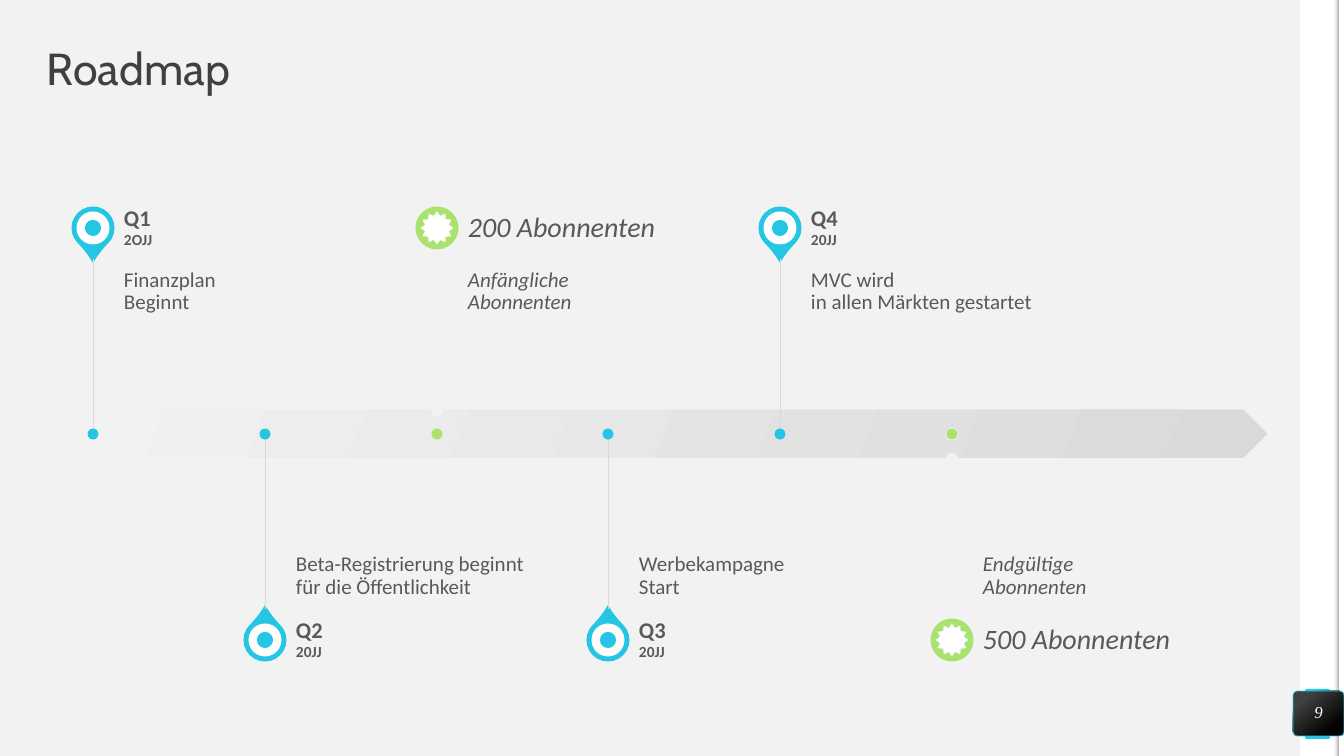
from copy import deepcopy
from lxml.etree import SubElement
from pptx import Presentation
from pptx.dml.color import RGBColor
from pptx.enum.dml import MSO_LINE
from pptx.enum.shapes import MSO_CONNECTOR, MSO_SHAPE
from pptx.enum.text import MSO_ANCHOR, MSO_AUTO_SIZE, PP_ALIGN
from pptx.oxml.ns import qn
from pptx.util import Pt

TITLE = "Roadmap"
PAGE = "9"
STEPS = [
    ("Q1", "2OJJ", "Finanzplan\nBeginnt"),
    ("Q2", "20JJ", "Beta-Registrierung beginnt\nfür die Öffentlichkeit"),
    ("200 Abonnenten", None, "Anfängliche\nAbonnenten"),
    ("Q3", "20JJ", "Werbekampagne\nStart"),
    ("Q4", "20JJ", "MVC wird \nin allen Märkten gestartet"),
    ("500 Abonnenten", None, "Endgültige\nAbonnenten"),
]

BLUE = RGBColor(0x25, 0xC6, 0xE3)
GREEN = RGBColor(0xA9, 0xE2, 0x6F)
WHITE = RGBColor(0xFF, 0xFF, 0xFF)
BLACK = RGBColor(0, 0, 0)
PALE = RGBColor(0xF2, 0xF2, 0xF2)
SILVER = RGBColor(0xD9, 0xD9, 0xD9)
STEEL = RGBColor(0xA6, 0xA6, 0xA6)
DARK = RGBColor(0x40, 0x40, 0x40)
GRAY = RGBColor(0x59, 0x59, 0x59)

SCALE = 914400 / 100.8
WIDE, HIGH = 1344, 756
FIRST, STEP, AXIS = 93, 171.8, 434
STEM, HEAD, TEXT = 175, 62, 284
PIN, RING, DOT = 43, 33, 11

TITLED = {"name": "Cabin", "size": Pt(32), "bold": False}
BODY = {"name": "Calibri", "size": Pt(15)}
QUARTER = {"name": "Calibri", "size": Pt(16), "bold": True}
YEAR = {**QUARTER, "size": Pt(11)}
GOAL = {"name": "Calibri", "size": Pt(20), "italic": True}
NUMBER = {"name": "Times New Roman", "size": Pt(12), "italic": True}


def px(num):
    return round(num * SCALE)


def style(item, vals):
    for key, val in vals.items():
        setattr(item, key, val)


def shape(kind, box, fill, **vals):
    item = slide.shapes.add_shape(kind, *map(px, box))
    item.shadow.inherit = False
    item.line.fill.background()
    if isinstance(fill, RGBColor):
        item.fill.solid()
        item.fill.fore_color.rgb = fill
    else:
        stops, angle = fill
        item.fill.gradient()
        item.fill.gradient_angle = angle
        for stop, (spot, tone) in zip(item.fill.gradient_stops, stops):
            stop.position = spot
            stop.color.rgb = tone
    style(item, vals)
    return item


def center(kind, x, y, size, fill, **vals):
    return shape(kind, (x - size / 2, y - size / 2, size, size), fill, **vals)


def write(frame, runs, tone, pad=(0, 0, 0, 0), anchor=MSO_ANCHOR.MIDDLE, align=PP_ALIGN.LEFT):
    sides = ("margin_left", "margin_top", "margin_right", "margin_bottom")
    style(frame, dict(zip(sides, map(px, pad))))
    style(frame, {"word_wrap": True, "auto_size": MSO_AUTO_SIZE.NONE, "vertical_anchor": anchor})
    para = frame.paragraphs[0]
    style(para, {"alignment": align, "line_spacing": 0.9})
    for num, (words, font) in enumerate(runs):
        if num:
            para.add_line_break()
            para._p[-1].append(deepcopy(para.runs[-1].font._element))
        run = para.add_run()
        run.text = words
        style(run.font, font)
        run.font.color.rgb = tone


def label(box, runs, **vals):
    write(slide.shapes.add_textbox(*map(px, box)).text_frame, runs, GRAY, **vals)


def stem(x, top, goal):
    item = slide.shapes.add_connector(MSO_CONNECTOR.STRAIGHT, *map(px, (x, top, x, top + STEM)))
    SubElement(item._element.spPr, qn("a:effectLst"))
    item.line.color.rgb = PALE if goal else SILVER
    item.line.width = Pt(9 if goal else 0.25)
    if goal:
        item.line.dash_style = MSO_LINE.ROUND_DOT
        item.line._ln.set("cap", "rnd")


def mark(num, name, year, note):
    x, low, goal = FIRST + round(num * STEP), num % 2, year is None
    tone = GREEN if goal else BLUE
    top = AXIS if low else AXIS - STEM
    head = AXIS + STEM if low else top - HEAD
    mid = head + HEAD / 2
    kind = MSO_SHAPE.OVAL if goal else MSO_SHAPE.TEAR
    pin = center(kind, x, mid, PIN, tone, rotation=315 if low else 135)
    if not goal:
        pin.adjustments[0] = 1.15
    center(MSO_SHAPE.STAR_12_POINT if goal else MSO_SHAPE.DONUT, x, mid, RING, WHITE)
    font = {**BODY, "italic": goal}
    label((x + 31, top, TEXT, STEM), [(line, font) for line in note.split("\n")],
          pad=(0, 16, 0, 10) if low else (0, 10, 10, 16),
          anchor=MSO_ANCHOR.BOTTOM if low else MSO_ANCHOR.TOP)
    runs = [(name, GOAL)] if goal else [(name, QUARTER), (year, YEAR)]
    label((x + 31, head, TEXT, HEAD), runs, pad=(0, 0, 11, 0))
    stem(x, top, goal)
    center(MSO_SHAPE.OVAL, x, AXIS, DOT, tone)


deck = Presentation()
style(deck, {"slide_width": px(WIDE), "slide_height": px(HIGH)})
slide = deck.slides.add_slide(deck.slide_layouts[5])
slide.background.fill.solid()
slide.background.fill.fore_color.rgb = PALE

shape(MSO_SHAPE.RECTANGLE, (1300, 0, 39, HIGH), WHITE)
tab = shape(MSO_SHAPE.ROUNDED_RECTANGLE, (1305, 689, 25, 50), BLUE)
tab.adjustments[0] = 0.07
shape(MSO_SHAPE.RECTANGLE, (1339, 0, 5, HIGH), WHITE)
edge = shape(MSO_SHAPE.RECTANGLE, (1334, 0, 5, HIGH), (((0, PALE), (1, STEEL)), 0))
SubElement(edge._element.spPr.xpath(".//a:srgbClr")[0], qn("a:alpha"), val="0")

title = slide.shapes.title
style(title, dict(zip(("left", "top", "width", "height"), map(px, (47, 47, 1249, 47)))))
write(title.text_frame, [(TITLE, TITLED)], DARK)

shape(MSO_SHAPE.PENTAGON, (61, AXIS - 24, 1206, 48), (((0, PALE), (1, SILVER)), 340))
for num, step in enumerate(STEPS):
    mark(num, *step)

badge = shape(MSO_SHAPE.ROUNDED_RECTANGLE, (1293, 691, 51, 45), (((0.2, DARK), (0.82, BLACK)), 310))
badge.adjustments[0] = 0.1
badge.line.color.rgb = BLUE
badge.line.width = Pt(0.5)
write(badge.text_frame, [(PAGE, NUMBER)], WHITE, align=PP_ALIGN.CENTER)

deck.save("out.pptx")
